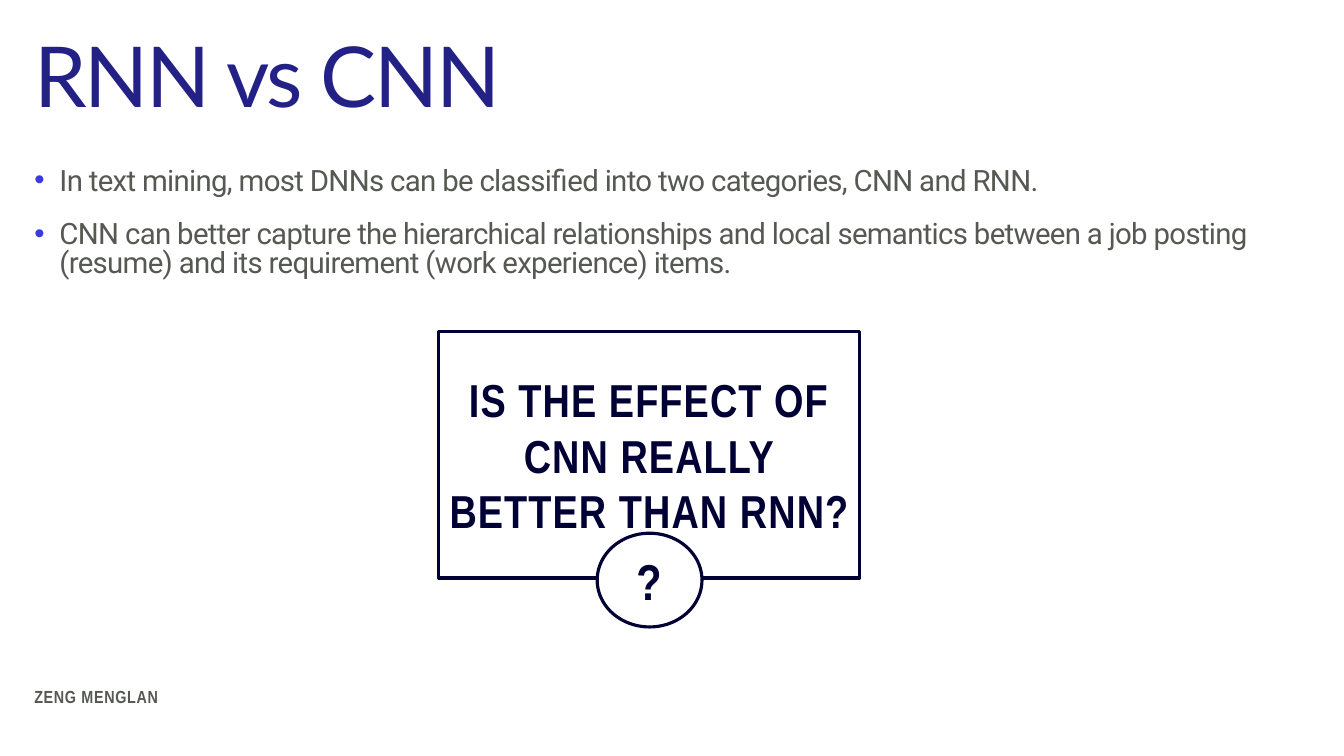
"""Build the RNN vs CNN question slide."""
from pptx import Presentation
from pptx.dml.color import RGBColor
from pptx.enum.shapes import MSO_SHAPE
from pptx.enum.text import MSO_ANCHOR, PP_ALIGN
from pptx.oxml.ns import qn
from pptx.util import Inches, Pt
from lxml.etree import SubElement

WIDE, HIGH = 26.67, 15
LEFT, SPAN = 0.62, 25.42
HUES = {"title": "232185", "body": "555952", "dot": "3B39E4",
        "navy": "000034", "white": "FFFFFF"}
FONTS = {
    "title": {"name": "Lato", "size": Pt(120), "bold": False},
    "body": {"name": "Roboto", "size": Pt(42), "bold": False},
    "ask": {"name": "Arial Narrow", "size": Pt(66), "bold": True},
    "mark": {"name": "Arial Narrow", "size": Pt(72), "bold": True},
    "foot": {"name": "Arial Narrow", "size": Pt(25), "bold": True},
}
POINTS = [
    "In text mining, most DNNs can be classified into two categories, CNN and RNN.",
    "CNN can better capture the hierarchical relationships and local semantics "
    "between a job posting (resume) and its requirement (work experience) items.",
]


def color(key):
    """Look up a colour by its role."""
    return RGBColor.from_string(HUES[key])


def box(*sizes):
    """Turn inches into slide lengths."""
    return [Inches(size) for size in sizes]


def write(shape, lines, style, hue, gap, anchor=MSO_ANCHOR.TOP, **form):
    """Fill a shape with styled paragraphs."""
    frame = shape.text_frame
    frame.word_wrap = True
    frame.vertical_anchor = anchor
    for side in ("left", "right", "top", "bottom"):
        setattr(frame, f"margin_{side}", Inches(0.06))
    frame.text = "\n".join(lines)
    for para in frame.paragraphs:
        for name, value in form.items():
            setattr(para, name, value)
        for run in para.runs:
            for name, value in FONTS[style].items():
                setattr(run.font, name, value)
            run.font.color.rgb = color(hue)
            run._r.get_or_add_rPr().set("spc", str(int(gap * 100)))
    return frame


def bullet(para):
    """Give a paragraph a hanging coloured dot."""
    props = para._p.get_or_add_pPr()
    props.set("marL", str(Inches(0.5)))
    props.set("indent", str(-Inches(0.5)))
    tint = SubElement(props, qn("a:buClr"))
    SubElement(tint, qn("a:srgbClr"), val=HUES["dot"])
    SubElement(props, qn("a:buFont"), typeface="Arial")
    SubElement(props, qn("a:buChar"), char="•")


def outline(shapes, kind, place, fill=None):
    """Draw a navy outlined shape."""
    shape = shapes.add_shape(kind, *box(*place))
    shape.shadow.inherit = False
    if fill:
        shape.fill.solid()
        shape.fill.fore_color.rgb = color(fill)
    else:
        shape.fill.background()
    shape.line.color.rgb = color("navy")
    shape.line.width = Pt(4.5)
    return shape


def badge(slide):
    """Group the question mark with its circle."""
    group = slide.shapes.add_group_shape()
    outline(group.shapes, MSO_SHAPE.OVAL, (11.85, 10.58, 2.08, 1.86), "white")
    mark = group.shapes.add_textbox(*box(12.18, 10.82, 1.4, 1.38))
    write(mark, ["?"], "mark", "navy", 1.6, MSO_ANCHOR.MIDDLE,
          alignment=PP_ALIGN.CENTER)


def main():
    """Assemble and save the slide."""
    deck = Presentation()
    deck.slide_width, deck.slide_height = box(WIDE, HIGH)
    slide = deck.slides.add_slide(deck.slide_layouts[5])
    title = slide.shapes.title
    title.left, title.top, title.width, title.height = box(LEFT, 1.11, SPAN, 2.13)
    write(title, ["RNN vs CNN"], "title", "title", -3,
          alignment=PP_ALIGN.LEFT, line_spacing=0.6)
    body = slide.shapes.add_textbox(*box(LEFT, 3.29, SPAN, 8.42))
    frame = write(body, POINTS, "body", "body", -1,
                  line_spacing=0.8, space_before=Pt(36))
    for para in frame.paragraphs:
        bullet(para)
    card = outline(slide.shapes, MSO_SHAPE.RECTANGLE, (8.71, 6.58, 8.35, 4.89))
    write(card, ["IS THE EFFECT OF CNN REALLY BETTER THAN RNN?"], "ask", "navy",
          1.6, MSO_ANCHOR.MIDDLE, alignment=PP_ALIGN.CENTER)
    badge(slide)
    foot = slide.shapes.add_textbox(*box(LEFT, 13.56, SPAN, 0.61))
    write(foot, ["ZENG MENGLAN"], "foot", "body", 1)
    deck.save("out.pptx")


if __name__ == "__main__":
    main()
